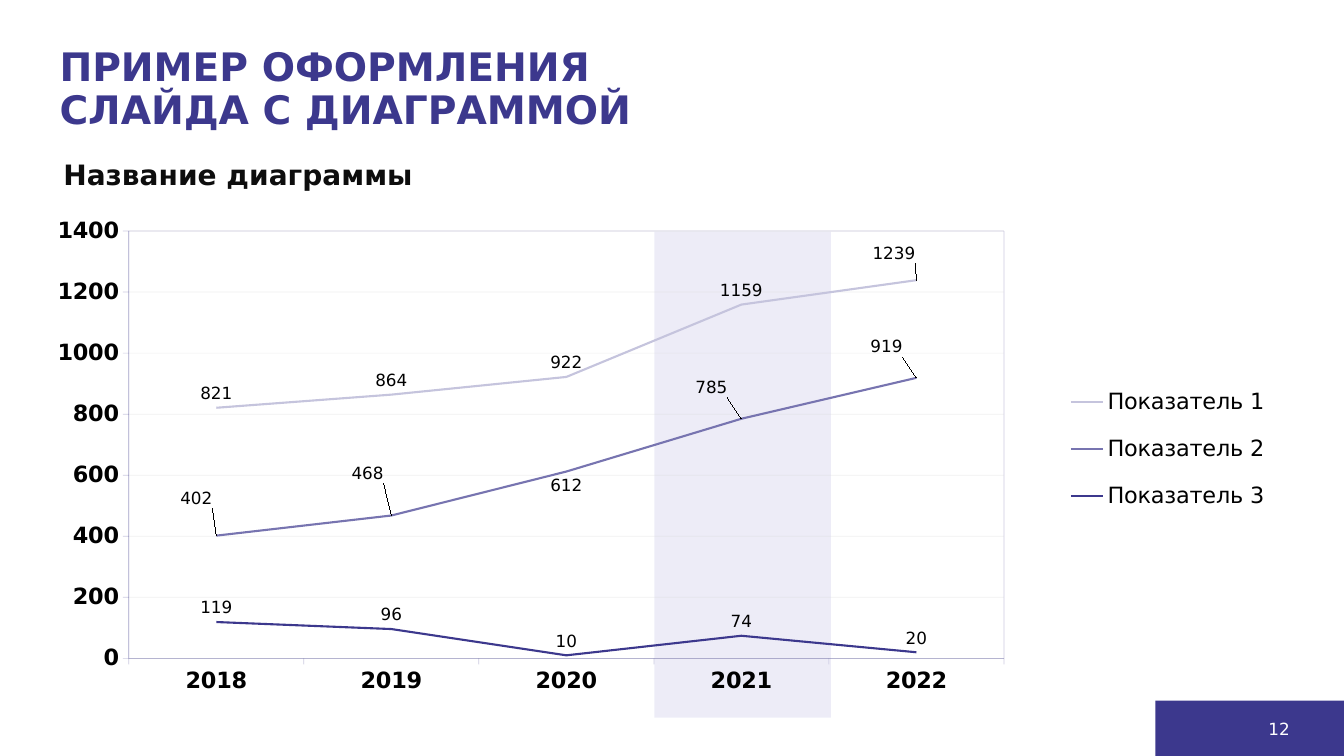
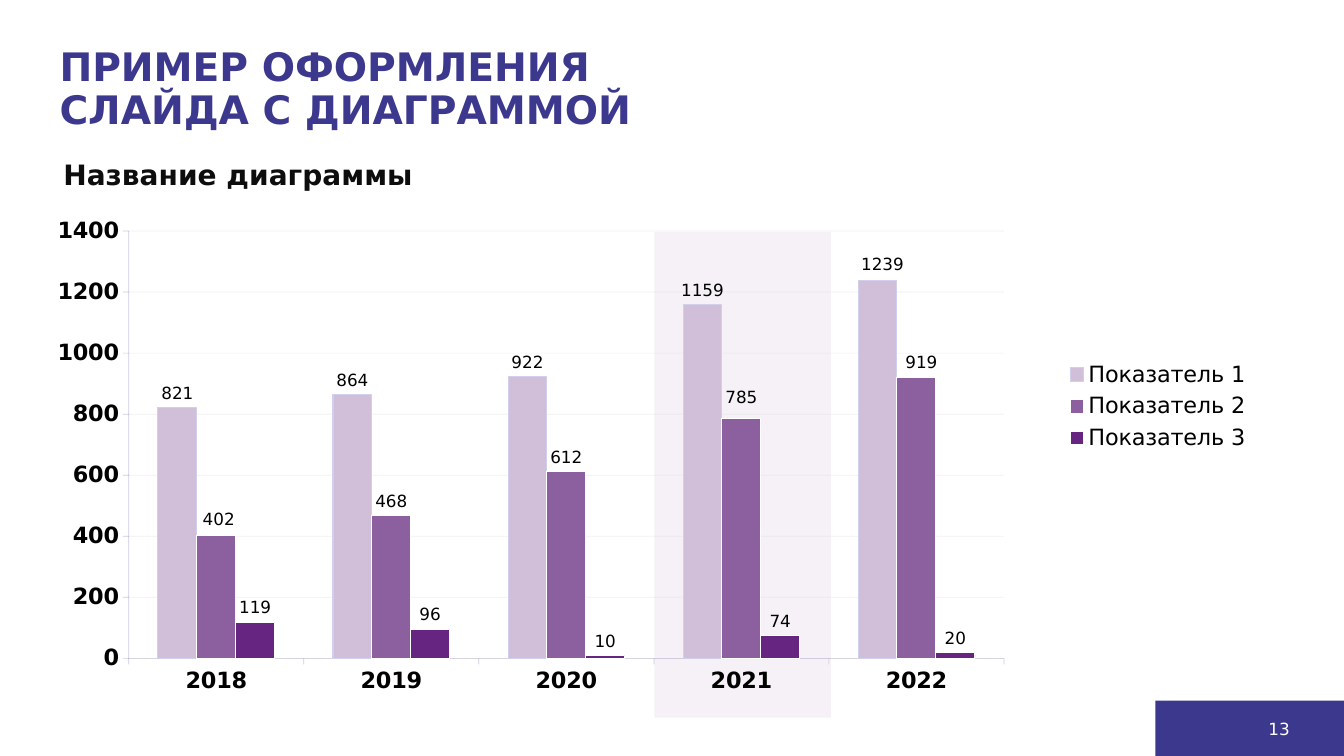
import pptx
import pptx.chart.data
import pptx.dml.color
import pptx.enum.chart
import pptx.enum.shapes
import pptx.enum.text
import pptx.oxml
import pptx.oxml.ns
import pptx.util
from pptx.util import Inches

FONT = "DejaVu Sans"
COLORS = {
    "brand": "3C388D", "heading": "0D0D0D", "text": "000000", "white": "FFFFFF",
    "grid": "D9D9D9", "blue_band": "6D69C3", "plum_band": "D1BED9",
    "blue_light": "C5C4DD", "blue_middle": "7774B0",
    "plum_light": "D1BED9", "plum_middle": "8C5F9F", "plum_dark": "652580",
    "bar_edge": "D1D0EC",
}
YEARS = ["2018", "2019", "2020", "2021", "2022"]
INDICATORS = {
    "Показатель 1": [821, 864, 922, 1159, 1239],
    "Показатель 2": [402, 468, 612, 785, 919],
    "Показатель 3": [119, 96, 10, 74, 20],
}
TITLE_LINES = ["ПРИМЕР ОФОРМЛЕНИЯ", "СЛАЙДА С ДИАГРАММОЙ"]
LABEL = pptx.enum.chart.XL_LABEL_POSITION
LEADER_LINES = (
    '<c:extLst %s><c:ext uri="{CE6537A1-D6FC-4f65-9D91-7224C49458BB}" '
    'xmlns:c15="http://schemas.microsoft.com/office/drawing/2012/chart">'
    '<c15:showLeaderLines val="1"/></c:ext></c:extLst>' % pptx.oxml.ns.nsdecls("c")
)


def color(name):
    return pptx.dml.color.RGBColor.from_string(COLORS[name])


def set_font(font, size, color_name="text", bold=False):
    font.name = FONT
    font.size = pptx.util.Pt(size)
    font.bold = bold
    font.color.rgb = color(color_name)


def set_line(line, color_name, width):
    line.color.rgb = color(color_name)
    line.width = pptx.util.Pt(width)


def set_opacity(element, query, percent):
    for color_element in element.xpath(query):
        alpha = pptx.oxml.parse_xml(
            '<a:alpha %s val="%d"/>' % (pptx.oxml.ns.nsdecls("a"), percent * 1000))
        color_element.append(alpha)


# Text and bands
def add_title(slide):
    title = slide.shapes.title
    title.left, title.top = Inches(0.49), Inches(0.38)
    title.width, title.height = Inches(11.5), Inches(1.03)
    frame = title.text_frame
    frame.auto_size = pptx.enum.text.MSO_AUTO_SIZE.NONE
    frame.vertical_anchor = pptx.enum.text.MSO_ANCHOR.MIDDLE
    paragraph = frame.paragraphs[0]
    for number, line in enumerate(TITLE_LINES):
        if number:
            paragraph.add_line_break()
        paragraph.add_run().text = line
    paragraph.alignment = pptx.enum.text.PP_ALIGN.LEFT
    paragraph.line_spacing = 0.9
    set_font(paragraph.font, 28, "brand", True)


def add_text(slide, text, left, top, width, height, size, color_name, bold=False,
             align=pptx.enum.text.PP_ALIGN.LEFT, anchor=pptx.enum.text.MSO_ANCHOR.TOP):
    box = slide.shapes.add_textbox(Inches(left), Inches(top), Inches(width), Inches(height))
    frame = box.text_frame
    frame.word_wrap = True
    frame.vertical_anchor = anchor
    paragraph = frame.paragraphs[0]
    paragraph.text = text
    paragraph.alignment = align
    set_font(paragraph.font, size, color_name, bold)


def add_band(slide, left, top, width, height, color_name, opacity=100):
    band = slide.shapes.add_shape(
        pptx.enum.shapes.MSO_SHAPE.RECTANGLE,
        Inches(left), Inches(top), Inches(width), Inches(height))
    band.shadow.inherit = False
    band.fill.solid()
    band.fill.fore_color.rgb = color(color_name)
    band.line.fill.background()
    if opacity < 100:
        set_opacity(band._element, "p:spPr/a:solidFill/a:srgbClr", opacity)


def add_footer(slide, page):
    add_band(slide, 11.46, 6.95, 1.88, 0.55, "brand")
    add_text(slide, str(page), 9.89, 7.03, 3, 0.4, 12, "white",
             align=pptx.enum.text.PP_ALIGN.RIGHT, anchor=pptx.enum.text.MSO_ANCHOR.MIDDLE)


# Chart parts
def make_layout(x, y, width=None, height=None, inner=False):
    target = '<c:layoutTarget val="inner"/>' if inner else ""
    modes, size = "", ""
    if width is not None:
        modes = '<c:xMode val="edge"/><c:yMode val="edge"/>'
        size = f'<c:w val="{width}"/><c:h val="{height}"/>'
    return pptx.oxml.parse_xml(
        f'<c:layout {pptx.oxml.ns.nsdecls("c")}><c:manualLayout>{target}{modes}'
        f'<c:x val="{x}"/><c:y val="{y}"/>{size}</c:manualLayout></c:layout>')


def make_outline(color_name=None):
    line = "<a:noFill/>"
    if color_name:
        line = (f'<a:solidFill><a:srgbClr val="{COLORS[color_name]}">'
                '<a:alpha val="25000"/></a:srgbClr></a:solidFill>')
    return pptx.oxml.parse_xml(
        f'<c:spPr {pptx.oxml.ns.nsdecls("c", "a")}><a:noFill/>'
        f'<a:ln w="6350">{line}</a:ln></c:spPr>')


def format_frame(chart, legend_layout, border):
    chart_space = chart._chartSpace
    chart_space.xpath("c:chart")[0].addnext(make_outline())
    plot_area = chart_space.xpath("c:chart/c:plotArea")[0]
    chart.has_legend = True
    chart.legend.position = pptx.enum.chart.XL_LEGEND_POSITION.RIGHT
    chart.legend.include_in_layout = False
    set_font(chart.legend.font, 16)
    for layout in chart_space.xpath("c:chart/*/c:layout"):
        layout.getparent().remove(layout)
    plot_area.insert(0, make_layout(0.074, 0.046, 0.7, 0.838, inner=True))
    plot_area.append(make_outline(border))
    chart_space.xpath("c:chart/c:legend/c:legendPos")[0].addnext(make_layout(*legend_layout))


def format_axes(chart):
    for axis in (chart.category_axis, chart.value_axis):
        axis.major_tick_mark = pptx.enum.chart.XL_TICK_MARK.OUTSIDE
        axis.minor_tick_mark = pptx.enum.chart.XL_TICK_MARK.NONE
        set_font(axis.tick_labels.font, 16, bold=True)
        set_line(axis.format.line, "brand", 0.5)
        set_opacity(axis._element, "c:spPr//a:srgbClr", 25)
    value_axis = chart.value_axis
    value_axis.minimum_scale, value_axis.maximum_scale = 0, 1400
    value_axis.major_unit = 200
    value_axis.has_major_gridlines = True
    set_line(value_axis.major_gridlines.format.line, "grid", 0.5)
    set_opacity(value_axis._element, "c:majorGridlines//a:srgbClr", 37)


def format_labels(series, position, offsets):
    labels = series.data_labels
    labels.show_value = True
    labels.position = position
    set_font(labels.font, 12)
    for index, (x, y) in offsets.items():
        label = series.points[index].data_label
        label.position = position
        set_font(label.font, 12)
        element = series._element.xpath(f"c:dLbls/c:dLbl[c:idx/@val='{index}']")[0]
        element.insert(1, make_layout(x, y))


def add_chart(slide, chart_type, label_position, offsets, legend_layout, border=None):
    data = pptx.chart.data.CategoryChartData()
    data.categories = YEARS
    for name, values in INDICATORS.items():
        data.add_series(name, values)
    chart = slide.shapes.add_chart(
        chart_type, Inches(0.36), Inches(2.06), Inches(12.4), Inches(5.06), data).chart
    chart.has_title = False
    set_font(chart.font, 16)
    format_frame(chart, legend_layout, border)
    format_axes(chart)
    chart.plots[0].vary_by_categories = False
    for index, series in enumerate(chart.series):
        format_labels(series, label_position, offsets.get(index, {}))
    return chart


def add_line_chart(slide):
    # Label shifts by series and point, as shares of the chart size
    offsets = {
        0: {4: (-0.018, -0.025)},
        1: {0: (-0.016, -0.045), 1: (-0.019, -0.055),
            3: (-0.024, -0.033), 4: (-0.024, -0.033)},
    }
    chart = add_chart(slide, pptx.enum.chart.XL_CHART_TYPE.LINE, LABEL.ABOVE, offsets,
                      (0.82, 0.313, 0.17, 0.32), border="brand")
    for series, name in zip(chart.series, ("blue_light", "blue_middle", "brand")):
        series.smooth = False
        series.marker.style = pptx.enum.chart.XL_MARKER_STYLE.NONE
        set_line(series.format.line, name, 1.5)
    below = chart.series[1].points[2].data_label
    below.position = LABEL.BELOW
    set_font(below.font, 12)
    chart.series[0].data_labels._element.append(pptx.oxml.parse_xml(LEADER_LINES))


def add_column_chart(slide):
    offsets = {
        0: {4: (0.004, -0.004)},
        1: {0: (0.002, -0.003), 3: (0, -0.014), 4: (0.004, -0.002)},
    }
    chart = add_chart(slide, pptx.enum.chart.XL_CHART_TYPE.COLUMN_CLUSTERED,
                      LABEL.OUTSIDE_END, offsets, (0.807, 0.29, 0.18, 0.2))
    chart.plots[0].gap_width = 150
    styles = (("plum_light", "bar_edge"), ("plum_middle", "white"), ("plum_dark", "white"))
    for series, (fill, edge) in zip(chart.series, styles):
        series.format.fill.solid()
        series.format.fill.fore_color.rgb = color(fill)
        set_line(series.format.line, edge, 0.75)


def add_chart_slide(presentation, page, band_color, band_opacity, draw_chart):
    slide = presentation.slides.add_slide(presentation.slide_layouts[5])
    add_band(slide, 6.49, 2.3, 1.75, 4.82, band_color, band_opacity)
    add_title(slide)
    draw_chart(slide)
    add_text(slide, "Название диаграммы", 0.53, 1.51, 3.7, 0.44, 20, "heading", True)
    add_footer(slide, page)


def main():
    presentation = pptx.Presentation()
    presentation.slide_width, presentation.slide_height = Inches(13.33), Inches(7.5)
    add_chart_slide(presentation, 12, "blue_band", 12, add_line_chart)
    add_chart_slide(presentation, 13, "plum_band", 21, add_column_chart)
    presentation.save("out.pptx")


if __name__ == "__main__":
    main()
